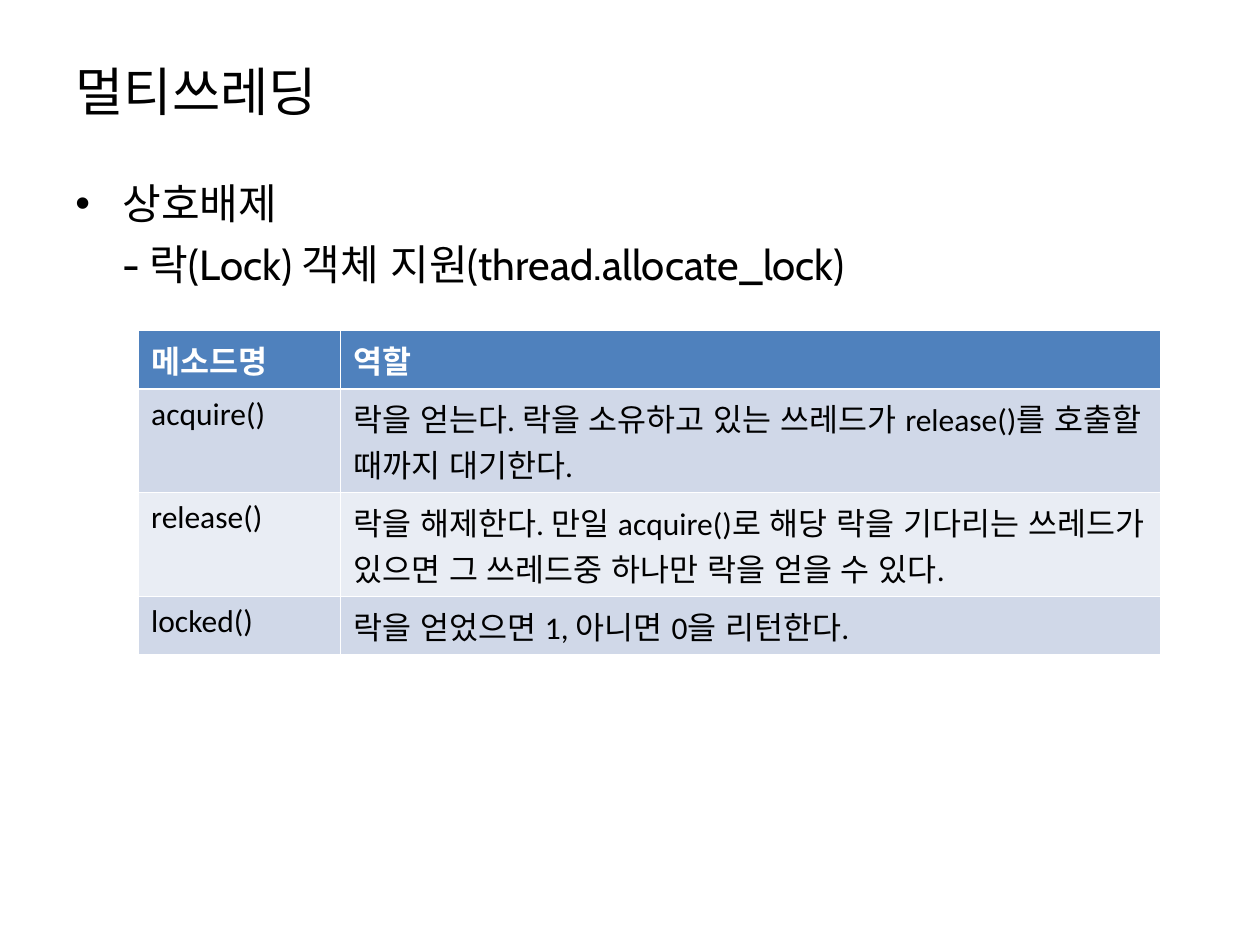
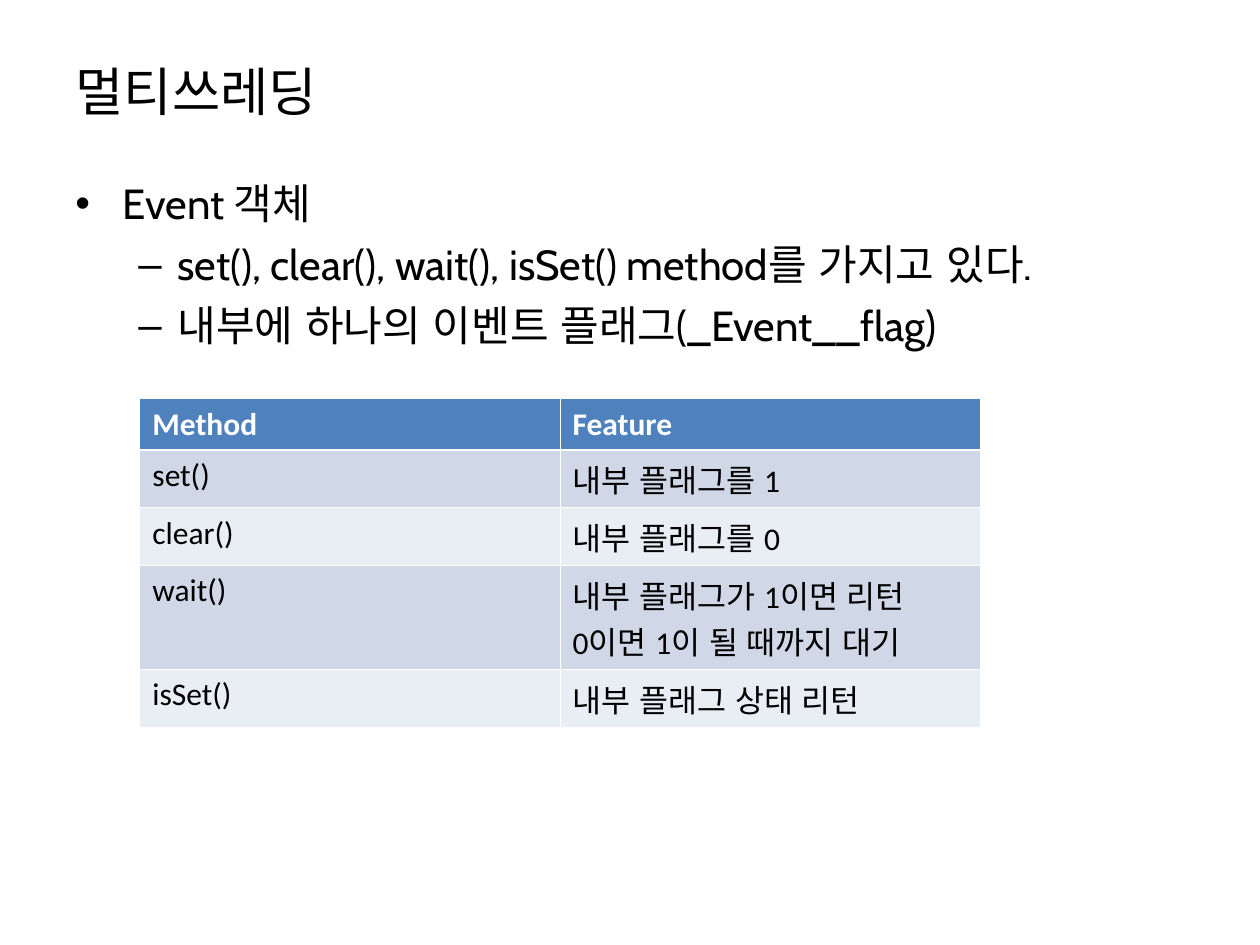
import pptx
import pptx.util
import pptx.dml.color
import pptx.enum.text
import pptx.enum.lang
import pptx.oxml
import pptx.oxml.ns
import lxml.etree

HUES = {"ink": "000000", "white": "FFFFFF", "head": "4F81BD", "odd": "D0D8E8", "even": "E9EDF4"}
COLS, ROWS = 20, 15
WIDTH, HEIGHT = pptx.util.Inches(10), pptx.util.Inches(7.5)


def across(cols):
    return round(WIDTH * cols / COLS)


def down(rows):
    return round(HEIGHT * rows / ROWS)


def hue(name):
    return pptx.dml.color.RGBColor.from_string(HUES[name])


def add(parent, tag, **attrs):
    node = lxml.etree.SubElement(parent, pptx.oxml.ns.qn(tag))
    for key, value in attrs.items():
        node.set(key, str(value))
    return node


def write(para, text, font="Cabin", size=24, color="ink", bold=False,
          level=0, left=0, hang=0, mark=None, before=0):
    para.level = level
    para.alignment = pptx.enum.text.PP_ALIGN.LEFT
    para.space_before = pptx.util.Pt(before)
    props = para._p.get_or_add_pPr()
    props.set("marL", str(across(left)))
    props.set("indent", str(-across(hang)))
    if mark:
        add(props, "a:buFont", typeface="Arial")
        add(props, "a:buChar", char=mark)
    else:
        add(props, "a:buNone")
    run = para.add_run()
    run.text = text
    run.font.name = font
    run.font.size = pptx.util.Pt(size)
    run.font.bold = bold
    run.font.color.rgb = hue(color)
    run.font.language_id = pptx.enum.lang.MSO_LANGUAGE_ID.KOREAN


class Deck:
    kinds = {
        "point": dict(left=0.75, hang=0.75, mark="•"),
        "dash": dict(left=1.62, hang=0.62, mark="–", level=1, before=6),
        "plain": dict(left=0.75, before=6),
    }

    def __init__(self):
        self.file = pptx.Presentation()
        self.file.slide_width, self.file.slide_height = WIDTH, HEIGHT
        self.slide = None

    def page(self, title):
        self.slide = self.file.slides.add_slide(self.file.slide_layouts[5])
        shape = self.slide.shapes.title
        shape.left, shape.top = across(1), down(0.6)
        shape.width, shape.height = across(18), down(1.68)
        frame = shape.text_frame
        frame.auto_size = pptx.enum.text.MSO_AUTO_SIZE.NONE
        frame.vertical_anchor = pptx.enum.text.MSO_ANCHOR.MIDDLE
        write(frame.paragraphs[0], title, size=30)

    def body(self, *items):
        box = self.slide.shapes.add_textbox(across(1), down(2.72), across(18), down(10.68))
        frame = box.text_frame
        frame.word_wrap = True
        for i, (kind, text) in enumerate(items):
            para = frame.add_paragraph() if i else frame.paragraphs[0]
            write(para, text, **self.kinds[kind])

    def edges(self, cell, row):
        props = cell._tc.get_or_add_tcPr()
        thick = {"T": row == 1, "B": row == 0}
        for n, side in enumerate("LRTB"):
            width = pptx.util.Pt(1.47 if thick.get(side) else 0.45)
            line = pptx.oxml.parse_xml(
                f'<a:ln{side} {pptx.oxml.ns.nsdecls("a")} w="{width}"/>')
            add(add(line, "a:solidFill"), "a:srgbClr", val=HUES["white"])
            props.insert(n, line)

    def table(self, left, top, cols, rows, cells):
        grid = self.slide.shapes.add_table(
            len(rows), len(cols), across(left), down(top),
            across(sum(cols)), down(sum(rows))).table
        for col, width in zip(grid.columns, cols):
            col.width = across(width)
        for r, (height, texts) in enumerate(zip(rows, cells)):
            grid.rows[r].height = down(height)
            fill = "head" if r == 0 else "odd" if r % 2 else "even"
            for c, text in enumerate(texts):
                cell = grid.cell(r, c)
                cell.fill.solid()
                cell.fill.fore_color.rgb = hue(fill)
                self.edges(cell, r)
                for i, line in enumerate(text.split("\n")):
                    frame = cell.text_frame
                    para = frame.add_paragraph() if i else frame.paragraphs[0]
                    write(para, line, font="Calibri", size=18, bold=r == 0,
                          color="ink" if r else "white")


def main():
    deck = Deck()
    title = "멀티쓰레딩"
    one, two = 0.92, 1.65

    deck.page(title)
    deck.body(("point", "상호배제"),
              ("plain", "- 락(Lock) 객체 지원(thread.allocate_lock)"))
    deck.table(2.2, 5.25, (3.21, 13.01), (one, two, two, one), (
        ("메소드명", "역할"),
        ("acquire()", "락을 얻는다. 락을 소유하고 있는 쓰레드가 release()를 호출할 때까지 대기한다."),
        ("release()", "락을 해제한다. 만일 acquire()로 해당 락을 기다리는 쓰레드가 있으면 "
                      "그 쓰레드중 하나만 락을 얻을 수 있다."),
        ("locked()", "락을 얻었으면 1, 아니면 0을 리턴한다."),
    ))

    deck.page(title)
    deck.body(("point", "Event 객체"),
              ("dash", "set(), clear(), wait(), isSet() method를 가지고 있다."),
              ("dash", "내부에 하나의 이벤트 플래그(_Event__flag)"))
    deck.table(2.22, 6.33, (6.67, 6.67), (0.81, one, one, two, one), (
        ("Method", "Feature"),
        ("set()", "내부 플래그를 1"),
        ("clear()", "내부 플래그를 0"),
        ("wait()", "내부 플래그가 1이면 리턴\n0이면 1이 될 때까지 대기"),
        ("isSet()", "내부 플래그 상태 리턴"),
    ))

    deck.file.save("out.pptx")


if __name__ == "__main__":
    main()
